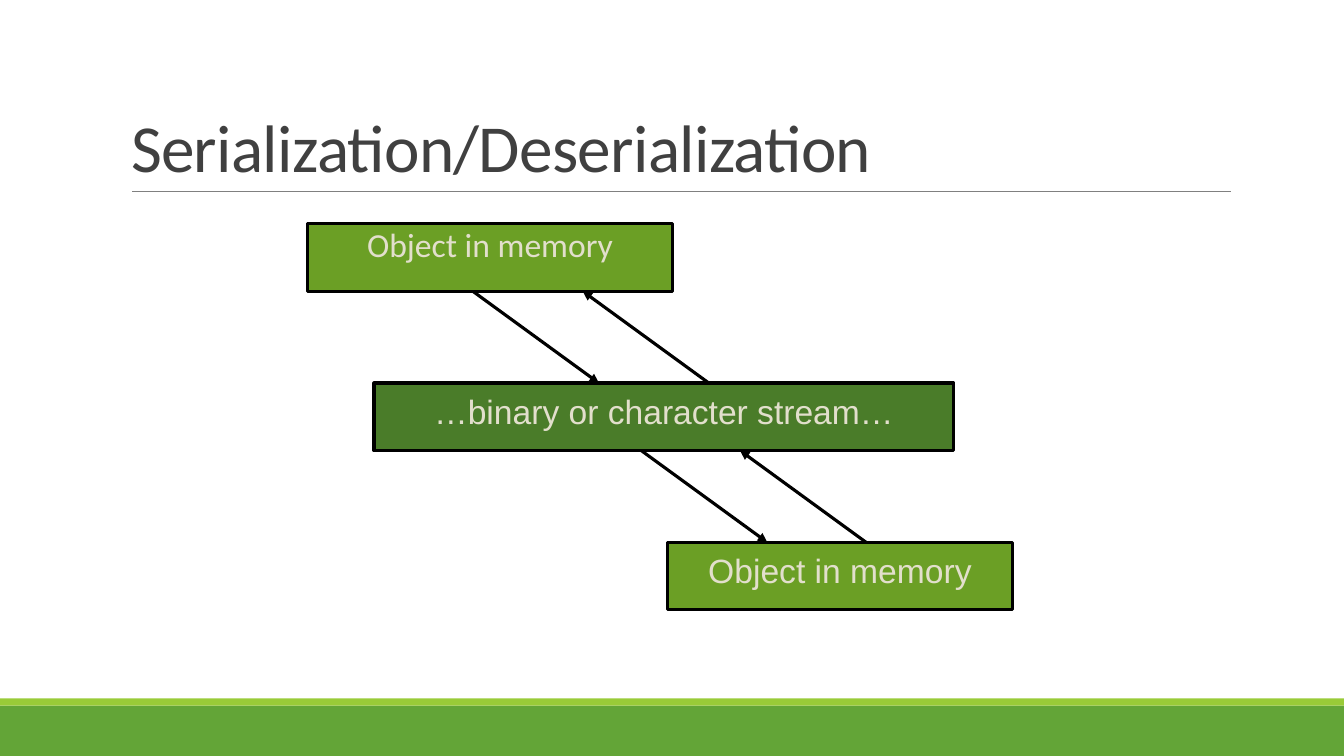
from pptx import Presentation
from pptx.dml.color import RGBColor
from pptx.enum.shapes import MSO_CONNECTOR, MSO_SHAPE
from pptx.enum.text import MSO_ANCHOR, PP_ALIGN
from pptx.oxml.ns import qn
from pptx.util import Inches, Pt
from lxml import etree

RECTANGLE = MSO_SHAPE.RECTANGLE
STRAIGHT = MSO_CONNECTOR.STRAIGHT
TOP, BOTTOM = MSO_ANCHOR.TOP, MSO_ANCHOR.BOTTOM
LEFT, CENTER = PP_ALIGN.LEFT, PP_ALIGN.CENTER

BLACK = RGBColor(0x00, 0x00, 0x00)
GRAY = RGBColor(0x80, 0x80, 0x80)
TITLE_GRAY = RGBColor(0x40, 0x40, 0x40)
CREAM = RGBColor(0xE2, 0xDF, 0xCC)
OBJECT_GREEN = RGBColor(0x6B, 0x9F, 0x25)
STREAM_GREEN = RGBColor(0x4A, 0x7C, 0x29)
FOOTER_GREEN = RGBColor(0x63, 0xA5, 0x37)
STRIPE_GREEN = RGBColor(0x99, 0xCB, 0x38)

SLIDE_WIDTH, SLIDE_HEIGHT = 13.33, 7.5
FIRST_ROW, ROW_STEP, BOX_HEIGHT = 2.22, 1.58, 0.67
ARROW_RUN = 1.25


def add_box(left, top, width, height, fill):
    box = slide.shapes.add_shape(
        RECTANGLE, Inches(left), Inches(top), Inches(width), Inches(height))
    box.shadow.inherit = False
    box.fill.solid()
    box.fill.fore_color.rgb = fill
    box.line.fill.background()
    return box


def add_line(start, end, color, width):
    line = slide.shapes.add_connector(STRAIGHT, *map(Inches, start + end))
    line.line.color.rgb = color
    line.line.width = Pt(width)
    etree.SubElement(line._element.spPr, qn("a:effectLst"))
    return line


presentation = Presentation()
presentation.slide_width = Inches(SLIDE_WIDTH)
presentation.slide_height = Inches(SLIDE_HEIGHT)
slide = presentation.slides.add_slide(presentation.slide_layouts[5])

# Footer bands and title rule
add_box(0, 7, SLIDE_WIDTH, 0.5, FOOTER_GREEN)
add_box(0, 6.93, SLIDE_WIDTH, 0.07, STRIPE_GREEN)
add_line((1.31, 1.9), (12.21, 1.9), GRAY, 0.5)

# Title
title = slide.shapes.title
title.left, title.top = Inches(1.2), Inches(0.31)
title.width, title.height = Inches(11), Inches(1.59)
title.text_frame.word_wrap = True
title.text_frame.vertical_anchor = BOTTOM
paragraph = title.text_frame.paragraphs[0]
paragraph.alignment = LEFT
paragraph.line_spacing = 0.85
run = paragraph.add_run()
run.text = "Serialization/Deserialization"
run.font.name = "Calibri"
run.font.size = Pt(48)
run.font.color.rgb = TITLE_GRAY
run.font._element.set("spc", "-50")

# Stages, one per row: text, left, width, fill, font, line spacing, top inset
stages = [
    ("Object in memory", 3.05, 3.62, OBJECT_GREEN, "Calibri", 0.9, 0.05),
    ("…binary or character stream…", 3.71, 5.75, STREAM_GREEN, "Arial", 1.0, 0.08),
    ("Object in memory", 6.62, 3.42, OBJECT_GREEN, "Arial", 1.0, 0.08),
]
for row, (text, left, width, fill, font, spacing, inset) in enumerate(stages):
    box = add_box(left, FIRST_ROW + row * ROW_STEP, width, BOX_HEIGHT, fill)
    box.line.color.rgb = BLACK
    box.line.width = Pt(2.25)
    frame = box.text_frame
    frame.word_wrap = True
    frame.vertical_anchor = TOP
    frame.margin_top = Inches(inset)
    paragraph = frame.paragraphs[0]
    paragraph.alignment = CENTER
    paragraph.line_spacing = spacing
    run = paragraph.add_run()
    run.text = text
    run.font.name = font
    run.font.size = Pt(24)
    run.font.color.rgb = CREAM

# Arrows in each gap: the left one points down, the right one points up
for gap, (down_left, up_left) in enumerate([(4.69, 5.78), (6.36, 7.34)]):
    top = FIRST_ROW + gap * ROW_STEP + BOX_HEIGHT
    bottom = FIRST_ROW + (gap + 1) * ROW_STEP
    for left, arrow_end in ((down_left, "a:tailEnd"), (up_left, "a:headEnd")):
        arrow = add_line((left, top), (left + ARROW_RUN, bottom), BLACK, 2.25)
        line_properties = arrow.line._get_or_add_ln()
        etree.SubElement(line_properties, qn(arrow_end), type="triangle")

presentation.save("out.pptx")
